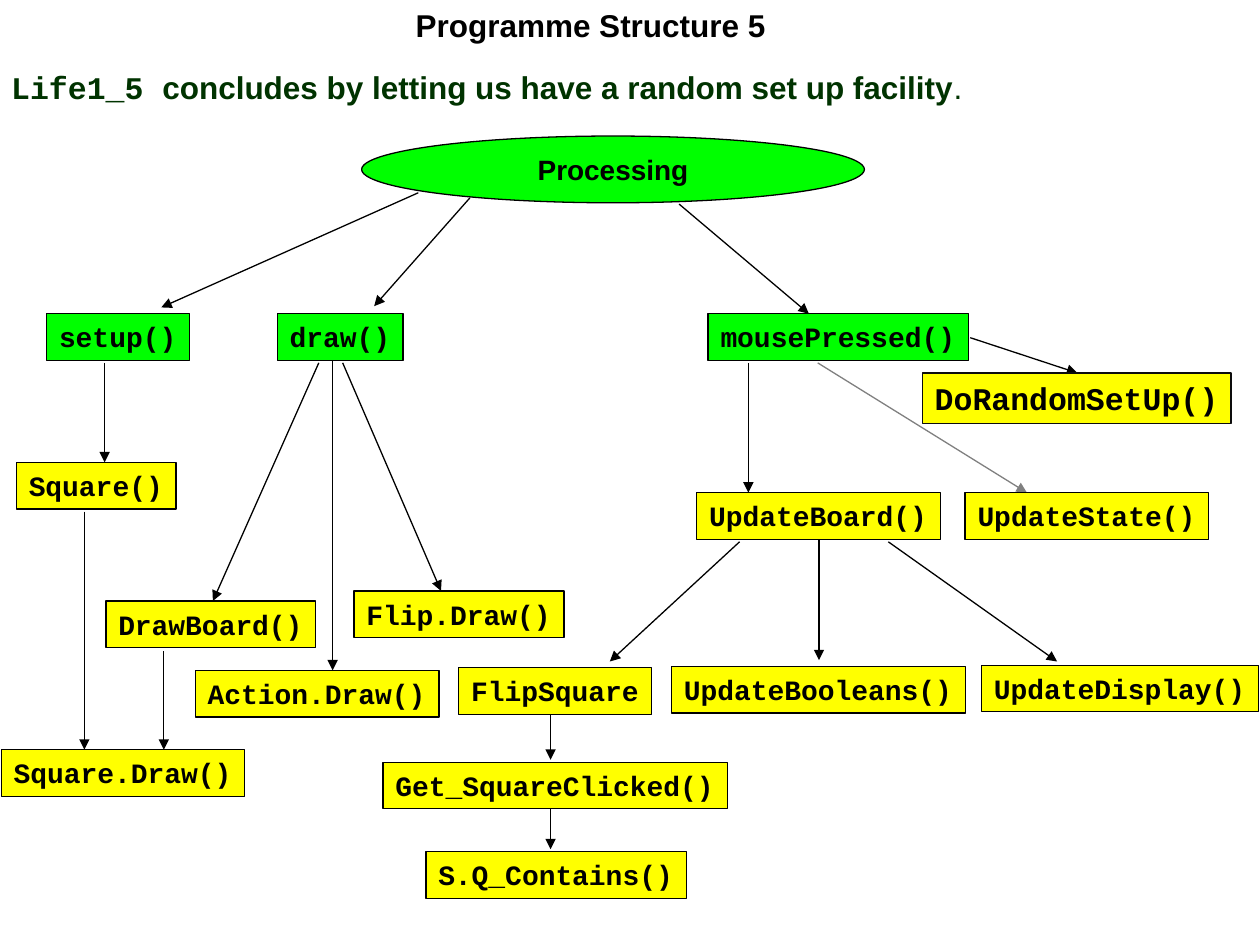
"""Build the Programme Structure 5 call diagram slide."""
from lxml import etree
from pptx import Presentation
from pptx.dml.color import RGBColor
from pptx.enum import shapes, text
from pptx.oxml import ns
from pptx.util import Inches, Pt

BLACK = RGBColor(0x00, 0x00, 0x00)
NEAR_BLACK = RGBColor(0x0D, 0x0D, 0x0D)
GREY = RGBColor(0x80, 0x80, 0x80)
DARK_GREEN = RGBColor(0x00, 0x33, 0x00)
GREEN = RGBColor(0x00, 0xFF, 0x00)
YELLOW = RGBColor(0xFF, 0xFF, 0x00)
SANS, MONO = "Arial", "Courier New"
RECTANGLE, OVAL = shapes.MSO_SHAPE.RECTANGLE, shapes.MSO_SHAPE.OVAL
FIT, FIXED = text.MSO_AUTO_SIZE.SHAPE_TO_FIT_TEXT, text.MSO_AUTO_SIZE.NONE


def write(box, spans, size, colour, anchor=text.MSO_ANCHOR.TOP,
          align=text.PP_ALIGN.LEFT, fit=FIT):
    frame = box.text_frame
    settings = {"word_wrap": False, "auto_size": fit, "vertical_anchor": anchor}
    for name, value in settings.items():
        setattr(frame, name, value)
    para = frame.paragraphs[0]
    para.alignment = align
    for wording, font, bold in spans:
        span = para.add_run()
        span.text = wording
        for name, value in {"name": font, "size": Pt(size), "bold": bold}.items():
            setattr(span.font, name, value)
        span.font.color.rgb = colour


def add_node(kind, left, top, width, height, fill, line):
    node = page.shapes.add_shape(
        kind, Inches(left), Inches(top), Inches(width), Inches(height))
    node.shadow.inherit = False
    node.fill.solid()
    node.fill.fore_color.rgb = fill
    node.line.color.rgb = line
    node.line.width = Pt(0.75)
    return node


deck = Presentation()
deck.slide_width, deck.slide_height = Inches(10), Inches(7.5)
page = deck.slides.add_slide(deck.slide_layouts[6])

arrows = [
    (4.37, 6.35, 4.37, 6.74, BLACK),
    (4.37, 5.64, 4.37, 6.03, BLACK),
    (6.5, 4.22, 6.5, 5.24, BLACK),
    (2.64, 2.81, 2.64, 5.32, BLACK),
    (3.32, 1.53, 1.28, 2.44, BLACK),
    (3.73, 1.57, 2.97, 2.43, BLACK),
    (2.53, 2.88, 1.69, 4.77, BLACK),
    (0.85, 6.93, 0.85, 6.93, BLACK),
    (2.72, 2.88, 3.5, 4.69, BLACK),
    (0.83, 2.88, 0.83, 3.67, BLACK),
    (0.67, 4.06, 0.67, 5.95, BLACK),
    (1.3, 5.17, 1.3, 5.95, BLACK),
    (5.39, 1.62, 6.42, 2.49, BLACK),
    (5.94, 2.88, 5.94, 3.91, BLACK),
    (6.49, 2.88, 8.15, 3.91, GREY),
    (5.87, 4.3, 4.84, 5.25, BLACK),
    (7.05, 4.3, 8.39, 5.25, BLACK),
    (7.7, 2.68, 8.55, 2.96, BLACK),
]
for *ends, colour in arrows:
    arrow = page.shapes.add_connector(
        shapes.MSO_CONNECTOR.STRAIGHT, *[Inches(end) for end in ends])
    arrow.line.color.rgb = colour
    arrow.line.width = Pt(0.75)
    etree.SubElement(arrow.line._get_or_add_ln(), ns.qn("a:tailEnd"), type="triangle")
    etree.SubElement(arrow._element.spPr, ns.qn("a:effectLst"))

processing = add_node(OVAL, 2.87, 1.08, 3.99, 0.53, GREEN, BLACK)
write(processing, [("Processing", SANS, True)], 16, BLACK,
      text.MSO_ANCHOR.MIDDLE, text.PP_ALIGN.CENTER, FIXED)

functions = [
    ("setup()", 0.37, 2.49, GREEN, BLACK, 16),
    ("draw()", 2.2, 2.49, GREEN, BLACK, 16),
    ("mousePressed()", 5.62, 2.49, GREEN, BLACK, 16),
    ("DoRandomSetUp()", 7.32, 2.96, YELLOW, NEAR_BLACK, 18),
    ("Square()", 0.13, 3.67, YELLOW, BLACK, 16),
    ("UpdateBoard()", 5.53, 3.91, YELLOW, BLACK, 16),
    ("UpdateState()", 7.66, 3.91, YELLOW, BLACK, 16),
    ("DrawBoard()", 0.84, 4.77, YELLOW, BLACK, 16),
    ("Flip.Draw()", 2.81, 4.69, YELLOW, BLACK, 16),
    ("Action.Draw()", 1.55, 5.32, YELLOW, BLACK, 16),
    ("FlipSquare", 3.64, 5.3, YELLOW, BLACK, 16),
    ("UpdateBooleans()", 5.33, 5.29, YELLOW, BLACK, 16),
    ("UpdateDisplay()", 7.79, 5.28, YELLOW, BLACK, 16),
    ("Square.Draw()", 0.01, 5.95, YELLOW, BLACK, 16),
    ("Get_SquareClicked()", 3.04, 6.05, YELLOW, BLACK, 16),
    ("S.Q_Contains()", 3.38, 6.76, YELLOW, BLACK, 16),
]
for label, left, top, fill, line, size in functions:
    width = 0.2 + len(label) * 0.6 * size / 72
    height = 0.4 if size == 18 else 0.37
    node = add_node(RECTANGLE, left, top, width, height, fill, line)
    write(node, [(label, MONO, True)], size, BLACK)

headings = [
    (3.2, 0, 2.98, BLACK, [("Programme Structure 5", SANS, True)]),
    (-0.01, 0.49, 7.75, DARK_GREEN, [
        ("Life1_5 ", MONO, True),
        ("concludes by letting us have a random set up facility", SANS, True),
        (".", SANS, False)]),
]
for left, top, width, colour, spans in headings:
    box = page.shapes.add_textbox(
        Inches(left), Inches(top), Inches(width), Inches(0.4))
    write(box, spans, 18, colour)

deck.save("out.pptx")
